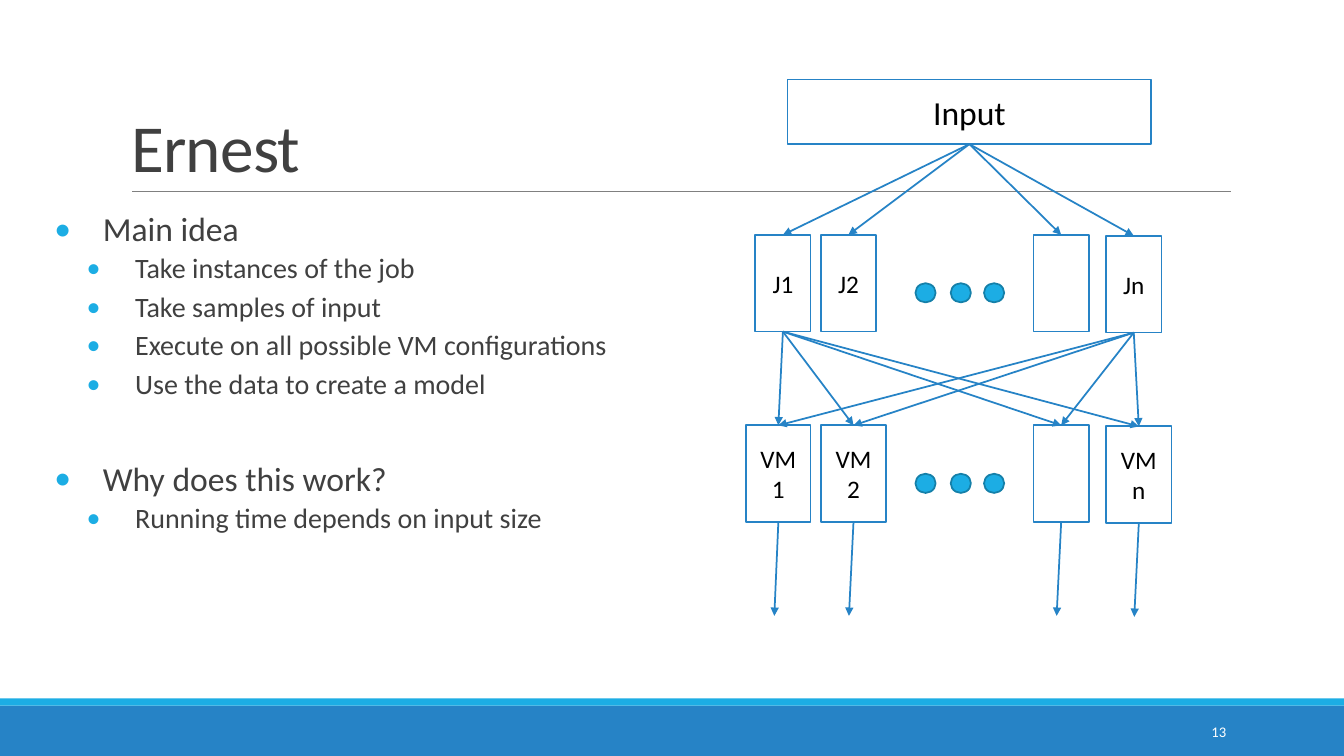
import pptx
import pptx.util
import pptx.dml.color
import pptx.enum.shapes
import pptx.enum.text
import pptx.oxml
import pptx.oxml.ns

PX = 9144
BLUE, CYAN, TEAL = "2683C6", "1CADE4", "1580A9"
WHITE, BLACK, DARK, GRAY = "FFFFFF", "000000", "404040", "808080"
SHAPE = pptx.enum.shapes.MSO_SHAPE
ALIGN = pptx.enum.text.PP_ALIGN
ANCHOR = pptx.enum.text.MSO_ANCHOR
TOP, BOTTOM = 0, 2

POINTS = [
    (0, "Main idea"),
    (1, "Take instances of the job"),
    (1, "Take samples of input"),
    (1, "Execute on all possible VM configurations"),
    (1, "Use the data to create a model"),
    (0, "Why does this work?"),
    (1, "Running time depends on input size"),
]
JOBS = [("J1", 9, 0, 55), ("J2", 74, 0, 55), ("", 285, 0, 55), ("Jn", 357, 1, 55)]
NODES = [("VM1", 0, 0, 64), ("VM2", 74, 0, 65), ("", 285, 0, 55), ("VM n", 357, 1, 65)]
DOTS = [168, 203, 236]


def emu(*nums):
    """Turn px into EMU."""
    return [pptx.util.Emu(n * PX) for n in nums]


def paint(color, code):
    """Set a colour format from a hex string."""
    color.rgb = pptx.dml.color.RGBColor.from_string(code)


def style(para, size, code, align=ALIGN.LEFT):
    """Format a whole paragraph."""
    para.alignment = align
    para.font.name = "Calibri"
    para.font.size = pptx.util.Pt(size)
    paint(para.font.color, code)


def element(parent, tag, **attrs):
    """Append a drawing element to a parent and return it."""
    node = pptx.oxml.parse_xml(f"<a:{tag} {pptx.oxml.ns.nsdecls('a')}/>")
    for key, value in attrs.items():
        node.set(key, value)
    parent.append(node)
    return node


def draw(slide, kind, box, fill, edge=None, text="", size=18):
    """Add a filled shape with an optional outline and label."""
    shape = slide.shapes.add_shape(kind, *emu(*box))
    shape.shadow.inherit = False
    shape.fill.solid()
    paint(shape.fill.fore_color, fill)
    if edge:
        paint(shape.line.color, edge)
        shape.line.width = pptx.util.Pt(1.25)
    else:
        shape.line.fill.background()
    if text:
        frame = shape.text_frame
        frame.text = text
        frame.vertical_anchor = ANCHOR.MIDDLE
        style(frame.paragraphs[0], size, BLACK, ALIGN.CENTER)
    return shape


def line(slide, ends, code, width):
    """Add a straight line without a shadow."""
    link = slide.shapes.add_connector(
        pptx.enum.shapes.MSO_CONNECTOR.STRAIGHT, *emu(*ends))
    paint(link.line.color, code)
    link.line.width = pptx.util.Pt(width)
    element(link._element.spPr, "effectLst")
    return link


def arrow(slide, start, end=None, drop=(0, 0)):
    """Point from a shape's bottom to another's top, or to a free end."""
    x = (start.left + start.width // 2) // PX
    y = (start.top + start.height) // PX
    link = line(slide, (x, y, x + drop[0], y + drop[1]), BLUE, 1.25)
    link.begin_connect(start, BOTTOM)
    if end is not None:
        link.end_connect(end, TOP)
    element(link.line._get_or_add_ln(), "tailEnd", type="triangle")


def footer(slide, box):
    """Draw the two bars and the page number."""
    left, top, width, height = box
    draw(slide, SHAPE.RECTANGLE, (left, top + 7, width, height - 7), BLUE)
    draw(slide, SHAPE.RECTANGLE, (left, top, width, 7), CYAN)
    page = slide.shapes.add_textbox(*emu(left + 1083, top + 13, 143, 40))
    frame = page.text_frame
    frame.word_wrap = True
    frame.vertical_anchor = ANCHOR.MIDDLE
    frame.text = "13"
    style(frame.paragraphs[0], 10.5, WHITE, ALIGN.RIGHT)


def heading(slide, box):
    """Place the title above its rule."""
    left, top, width, height = box
    base = top + height
    line(slide, (left + 11, base, left + 1101, base), GRAY, 0.5)
    title = slide.shapes.title
    title.left, title.top, title.width, title.height = emu(*box)
    frame = title.text_frame
    frame.text = "Ernest"
    frame.auto_size = pptx.enum.text.MSO_AUTO_SIZE.NONE
    frame.vertical_anchor = ANCHOR.BOTTOM
    para = frame.paragraphs[0]
    para.line_spacing = 0.85
    style(para, 48, DARK)
    para.font._rPr.set("spc", "-50")


def body(slide, box):
    """Write the bulleted points."""
    frame = slide.shapes.add_textbox(*emu(*box)).text_frame
    frame.word_wrap = True
    frame.margin_left = frame.margin_right = 0
    for i, (level, text) in enumerate(POINTS):
        para = frame.add_paragraph() if i else frame.paragraphs[0]
        para.text = text
        para.level = level
        para.line_spacing = 0.9
        before = 2 if level else 40 if i else 12
        para.space_before = pptx.util.Pt(before)
        para.space_after = pptx.util.Pt(4 if level else 2)
        props = para._p.get_or_add_pPr()
        props.set("marL", str((82 if level else 50) * PX))
        props.set("indent", str(-48 * PX))
        element(element(props, "buClr"), "srgbClr", val=CYAN)
        element(props, "buFont", typeface="Calibri")
        element(props, "buChar", char="•")
        style(para, 20 if level else 24, DARK)


def row(slide, box, items):
    """Draw a row of labelled boxes with dots between them."""
    left, top, _, height = box
    for x in DOTS:
        draw(slide, SHAPE.OVAL, (left + x, top + 48, 20, 19), CYAN, TEAL)
    return [draw(slide, SHAPE.RECTANGLE, (left + x, top + y, width, height),
                 WHITE, BLUE, text) for text, x, y, width in items]


def flow(slide, box):
    """Draw the input, the jobs, the machines and their arrows."""
    left, top, width, _ = box
    source = draw(slide, SHAPE.RECTANGLE, (left + 41, top, 361, 64),
                  WHITE, BLUE, "Input", 24)
    jobs = row(slide, (left, top + 154, width, 96), JOBS)
    nodes = row(slide, (left, top + 343, width, 96), NODES)
    for job in jobs:
        arrow(slide, source, job)
    for job in (jobs[0], jobs[-1]):
        for node in nodes:
            arrow(slide, job, node)
    for node in nodes:
        arrow(slide, node, drop=(-4, 93))


def main():
    """Build and save the slide."""
    deck = pptx.Presentation()
    deck.slide_width, deck.slide_height = emu(1333, 750)
    slide = deck.slides.add_slide(deck.slide_layouts[5])
    footer(slide, (0, 693, 1333, 57))
    heading(slide, (120, 31, 1100, 159))
    body(slide, (52, 206, 1100, 440))
    flow(slide, (740, 79, 422, 533))
    deck.save("out.pptx")


if __name__ == "__main__":
    main()
